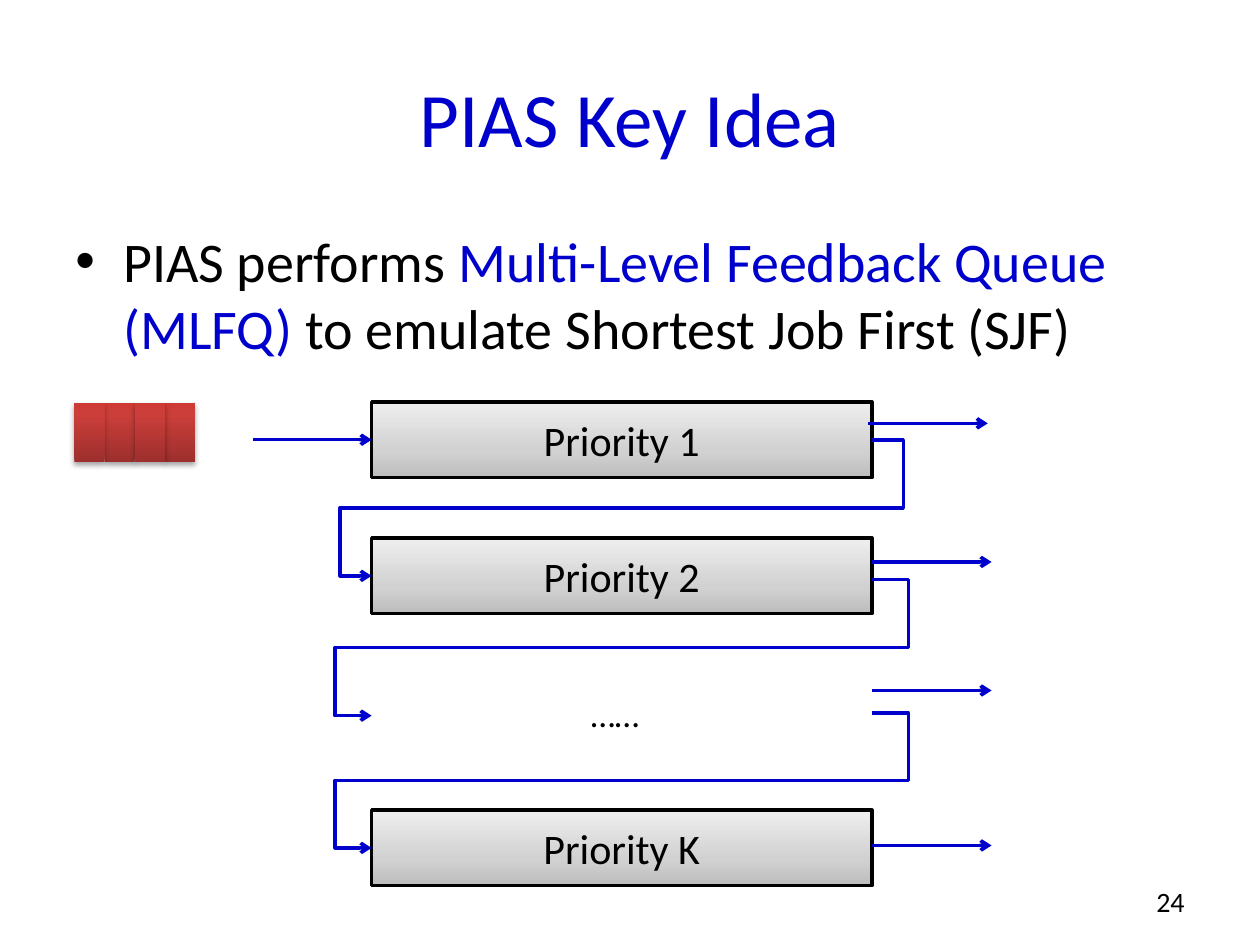
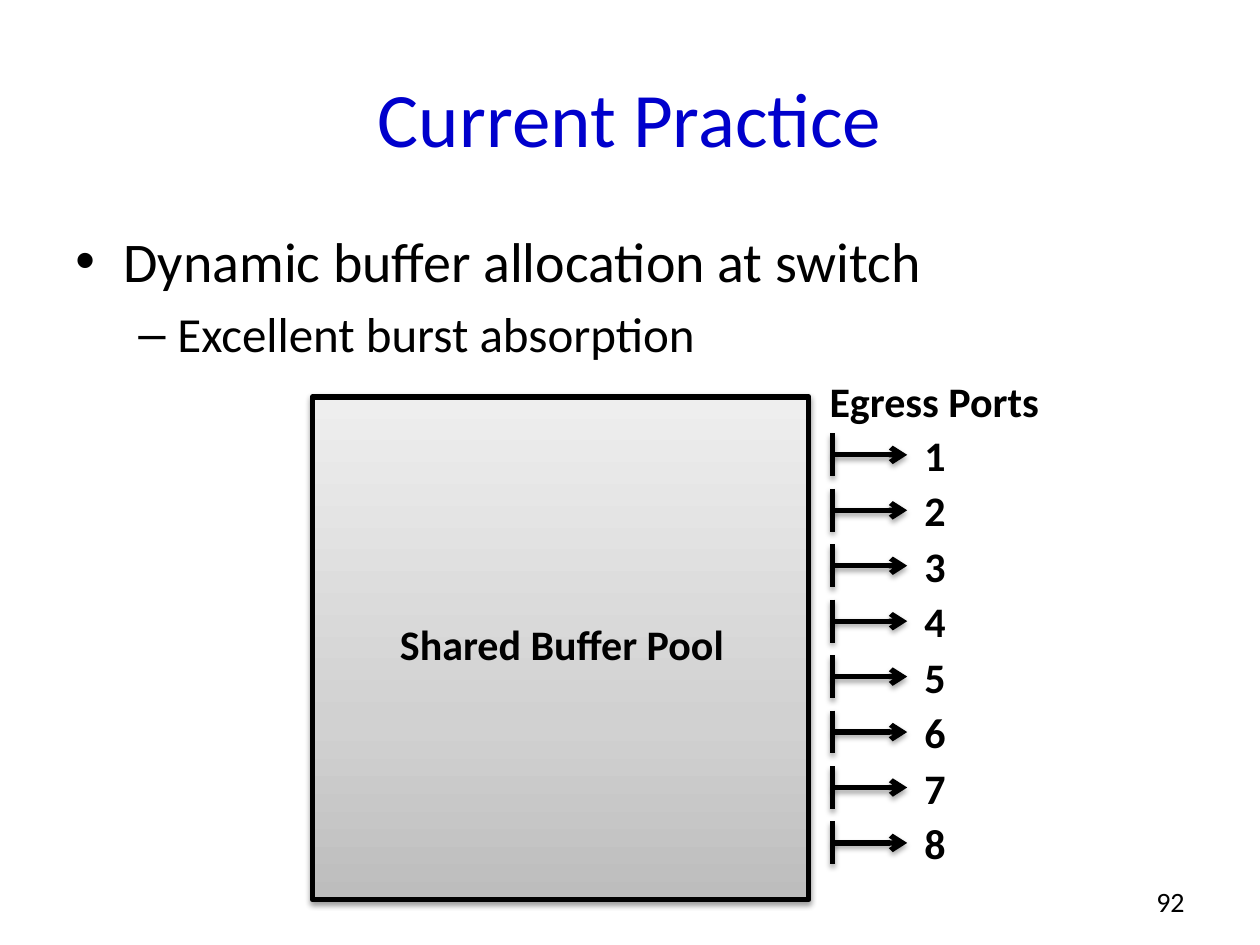
from lxml.etree import SubElement
from pptx import Presentation
from pptx.dml.color import RGBColor
from pptx.enum.shapes import MSO_CONNECTOR, MSO_SHAPE
from pptx.enum.text import MSO_ANCHOR, MSO_AUTO_SIZE, PP_ALIGN
from pptx.oxml.ns import qn
from pptx.util import Emu, Pt

EMU_PER_PX = 9144  # 100 px to the inch
FONT = "Calibri"
BLUE, BLACK = "0000CC", "000000"
GREY_GRADIENT = [(0, "BDBDBD"), (35, "D1D1D1"), (100, "EEEEEE")]
RED_GRADIENT = [(0, "9C2F2D"), (80, "CB3E3A"), (100, "CE3B37")]
SOFT_SHADOW = (35, 1.8)  # opacity in percent, distance in points
POOL_SHADOW = (38, 1.6)
# Per bullet level: character, text indent px, hanging px, size, space before
BULLETS = [("•", 38, 38, 32, 6.4), ("–", 81, 31, 28, 5.6)]
TOP, BOTTOM, LEFT, RIGHT = 0, 2, 1, 3


def px(length):
    return Emu(length * EMU_PER_PX)


def color(hex_string):
    return RGBColor.from_string(hex_string)


class Deck:
    def __init__(self):
        self.presentation = Presentation()
        self.presentation.slide_width = px(1000)
        self.presentation.slide_height = px(750)
        self.slide = None

    def add_slide(self, title, number):
        self.slide = self.presentation.slides.add_slide(
            self.presentation.slide_layouts[5])
        shape = self.slide.shapes.title
        shape.left, shape.top, shape.width, shape.height = map(px, (50, 30, 900, 125))
        shape.text_frame.text = title
        shape.text_frame.vertical_anchor = MSO_ANCHOR.MIDDLE
        self.format_text(shape.text_frame, 44, BLUE)
        footer = self.text(str(number), (717, 695, 233, 40), 16, align=PP_ALIGN.RIGHT)
        footer.text_frame.vertical_anchor = MSO_ANCHOR.MIDDLE

    def format_run(self, run, size, hex_string=BLACK, bold=False):
        run.font.name, run.font.size, run.font.bold = FONT, Pt(size), bold
        run.font.color.rgb = color(hex_string)

    def format_text(self, text_frame, size, hex_string=BLACK, bold=False,
                    align=PP_ALIGN.CENTER):
        for paragraph in text_frame.paragraphs:
            paragraph.alignment = align
            for run in paragraph.runs:
                self.format_run(run, size, hex_string, bold)

    def text(self, content, box, size=24, bold=False, align=PP_ALIGN.CENTER, wrap=True):
        shape = self.slide.shapes.add_textbox(*map(px, box))
        shape.text_frame.word_wrap = wrap
        shape.text_frame.text = content
        self.format_text(shape.text_frame, size, bold=bold, align=align)
        return shape

    def bullets(self, items):
        """Each item is a level and its (text, colour) runs."""
        shape = self.slide.shapes.add_textbox(*map(px, (50, 175, 900, 495)))
        text_frame = shape.text_frame
        text_frame.word_wrap = True
        text_frame.auto_size = MSO_AUTO_SIZE.NONE
        for index, (level, runs) in enumerate(items):
            paragraph = text_frame.add_paragraph() if index else text_frame.paragraphs[0]
            character, indent, hanging, size, space = BULLETS[level]
            paragraph.level = level
            properties = paragraph._p.get_or_add_pPr()
            properties.set("marL", str(px(indent)))
            properties.set("indent", str(-px(hanging)))
            SubElement(properties, qn("a:buFont"), typeface="Arial")
            SubElement(properties, qn("a:buChar"), char=character)
            if index:
                paragraph.space_before = Pt(space)
            for content, hex_string in runs:
                run = paragraph.add_run()
                run.text = content
                self.format_run(run, size, hex_string)

    def set_shadow(self, shape, shadow):
        """Give the shape its own effect list, empty when shadow is None."""
        properties = shape._element.spPr
        effects = properties.find(qn("a:effectLst"))
        if effects is None:
            effects = SubElement(properties, qn("a:effectLst"))
        if shadow:
            opacity, distance = shadow
            outer = SubElement(effects, qn("a:outerShdw"), blurRad=str(Pt(3.1)),
                               dist=str(Pt(distance)), dir="5400000", rotWithShape="0")
            tint = SubElement(outer, qn("a:srgbClr"), val=BLACK)
            SubElement(tint, qn("a:alpha"), val=str(opacity * 1000))

    def rectangle(self, box, gradient, line_width=0, content="", shadow=None):
        shape = self.slide.shapes.add_shape(MSO_SHAPE.RECTANGLE, *map(px, box))
        shape.fill.gradient()
        shape.fill.gradient_angle = 90
        stops = shape._element.spPr.find(qn("a:gradFill")).find(qn("a:gsLst"))
        stops.clear()
        for position, hex_string in gradient:
            stop = SubElement(stops, qn("a:gs"), pos=str(position * 1000))
            SubElement(stop, qn("a:srgbClr"), val=hex_string)
        if line_width:
            shape.line.color.rgb = color(BLACK)
            shape.line.width = Pt(line_width)
        else:
            shape.line.fill.background()
        shape.shadow.inherit = False
        self.set_shadow(shape, shadow)
        if content:
            shape.text_frame.text = content
            self.format_text(shape.text_frame, 24)
        return shape

    def line(self, start, end, hex_string=BLUE, width=2, arrow=True, shadow=None,
             group=None, kind=MSO_CONNECTOR.STRAIGHT):
        shapes = (group or self.slide).shapes
        connector = shapes.add_connector(kind, *map(px, (*start, *end)))
        connector.line.color.rgb = color(hex_string)
        connector.line.width = Pt(width)
        if arrow:
            SubElement(connector._element.spPr.find(qn("a:ln")), qn("a:tailEnd"),
                       type="arrow")
        self.set_shadow(connector, shadow)
        return connector

    def loop_back(self, start, end, overhang):
        """Elbow that leaves to the right and comes back in from the left."""
        connector = self.line(start, end, kind=MSO_CONNECTOR.ELBOW)
        geometry = connector._element.spPr.find(qn("a:prstGeom"))
        geometry.set("prst", "bentConnector5")
        guides = geometry.find(qn("a:avLst"))
        if guides is None:
            guides = SubElement(geometry, qn("a:avLst"))
        ratio = round(100000 * overhang / (start[0] - end[0]))
        for index, value in enumerate((-ratio, 50000, 100000 + ratio), 1):
            SubElement(guides, qn("a:gd"), name=f"adj{index}", fmla=f"val {value}")
        return connector


def key_idea_slide(deck):
    deck.add_slide("PIAS Key Idea", 24)
    deck.bullets([(0, [("PIAS performs ", BLACK),
                       ("Multi-Level Feedback Queue (MLFQ) ", BLUE),
                       ("to emulate Shortest Job First (SJF)", BLACK)])])

    queue_left, queue_width, row_pitch = 295, 397, 108
    queue_right = queue_left + queue_width
    first, second, last = [
        deck.rectangle((queue_left, 319 + row_pitch * row, queue_width, 60),
                       GREY_GRADIENT, 2, f"Priority {name}")
        for row, name in ((0, "1"), (1, "2"), (3, "K"))]
    deck.text("……", (459, 545, 69, 47), 20, align=PP_ALIGN.LEFT, wrap=False)

    arrival = deck.line((201, 349), (queue_left, 349))
    arrival.end_connect(first, LEFT)
    demotions = [deck.loop_back((queue_right, y), (queue_left, y + row_pitch), overhang)
                 for y, overhang in ((349, 25), (460, 29), (566, 29))]
    demotions[0].begin_connect(first, RIGHT)
    demotions[0].end_connect(second, LEFT)
    demotions[2].end_connect(last, LEFT)
    for x, y in ((689, 336), (queue_right, 446), (queue_right, 548), (queue_right, 671)):
        deck.line((x, y), (x + 95, y))

    for packet in (1, 0, 3, 2):
        deck.rectangle((59 + 24 * packet, 320, 24, 47), RED_GRADIENT, shadow=SOFT_SHADOW)


def current_practice_slide(deck):
    deck.add_slide("Current Practice", 92)
    deck.bullets([(0, [("Dynamic buffer allocation at switch", BLACK)]),
                  (1, [("Excellent burst absorption", BLACK)])])
    deck.rectangle((248, 315, 394, 399), GREY_GRADIENT, 3, shadow=POOL_SHADOW)
    deck.text("Shared Buffer Pool", (300, 486, 292, 50), bold=True)
    deck.text("Egress Ports", (523, 293, 437, 50), bold=True)

    port_x, port_pitch = 661, 44
    for port in range(8):
        y = 361 + port_pitch * port
        group = deck.slide.shapes.add_group_shape()
        style = dict(hex_string=BLACK, width=3, shadow=SOFT_SHADOW, group=group)
        deck.line((port_x, y - 17), (port_x, y + 17), arrow=False, **style)
        deck.line((port_x, y), (port_x + 59, y), **style)
        deck.text(str(port + 1), (689, y - 25, 106, 50), bold=True)


def main():
    deck = Deck()
    key_idea_slide(deck)
    current_practice_slide(deck)
    deck.presentation.save("out.pptx")


if __name__ == "__main__":
    main()
